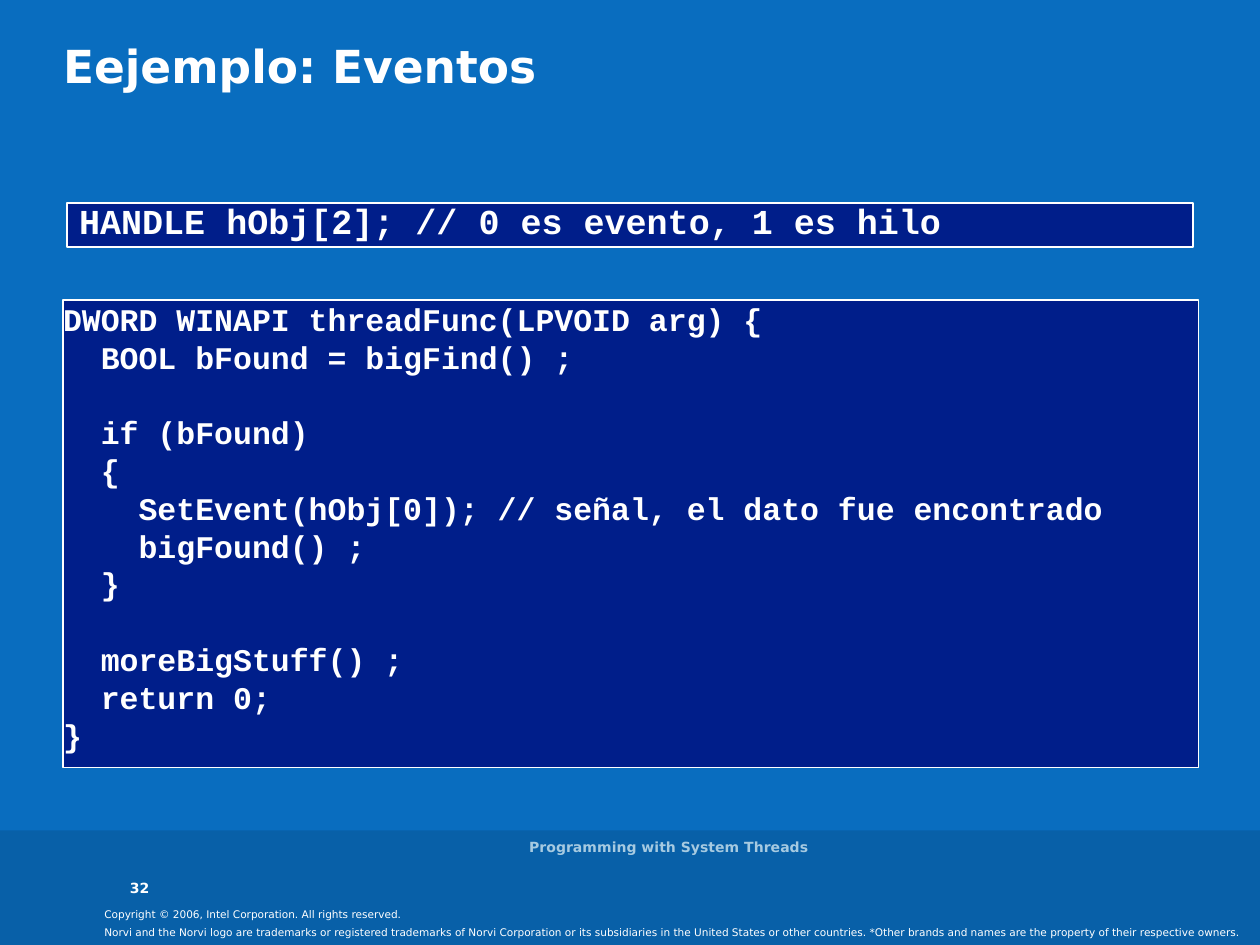
from dataclasses import dataclass
from typing import Optional, Union

from pptx import Presentation
from pptx.dml.color import RGBColor
from pptx.enum import shapes, text
from pptx.util import Inches, Length, Pt

BACKGROUND = RGBColor(0x09, 0x6D, 0xBF)
FOOTER_BAND = RGBColor(0x08, 0x60, 0xA8)
CODE_FILL = RGBColor(0x00, 0x1E, 0x8A)
WHITE = RGBColor(0xFF, 0xFF, 0xFF)
PALE_BLUE = RGBColor(0xA6, 0xCA, 0xE1)

SANS = "DejaVu Sans"
MONO = "Courier New"

THREAD_CODE = """DWORD WINAPI threadFunc(LPVOID arg) {
  BOOL bFound = bigFind() ;

  if (bFound)
  {
    SetEvent(hObj[0]); // señal, el dato fue encontrado
    bigFound() ;
  }

  moreBigStuff() ;
  return 0;
}"""
TRADEMARKS = (
    "Norvi and the Norvi logo are trademarks or registered trademarks of "
    "Norvi Corporation or its subsidiaries in the United States or other "
    "countries. *Other brands and names are the property of their respective owners."
)


@dataclass
class Block:
    """Text in a frame; lengths in inches, sizes and line widths in points."""
    wording: str
    left: float
    top: float
    width: float
    height: float
    size: float
    font: str = SANS
    color: RGBColor = WHITE
    bold: bool = True
    anchor: text.MSO_ANCHOR = text.MSO_ANCHOR.TOP
    align: text.PP_ALIGN = text.PP_ALIGN.LEFT
    inset_x: float = 0
    inset_top: float = 0
    line_spacing: Optional[Union[float, Length]] = None
    border: Optional[float] = None


BLOCKS = [
    Block("Copyright © 2006, Intel Corporation. All rights reserved.",
          0.73, 7.16, 7.21, 0.2, 6, bold=False, inset_x=0.1, inset_top=0.05),
    Block(TRADEMARKS, 0.73, 7.3, 9.27, 0.2, 6, bold=False,
          inset_x=0.1, inset_top=0.05),
    Block("32", 1.03, 6.78, 0.45, 0.33, 8, anchor=text.MSO_ANCHOR.BOTTOM),
    Block("Programming with System Threads", 3.31, 6.56, 4, 0.33, 8,
          color=PALE_BLUE, anchor=text.MSO_ANCHOR.MIDDLE,
          align=text.PP_ALIGN.CENTER),
    Block("Eejemplo: Eventos", 0.5, 0.3, 9.01, 0.97, 26),
    Block(THREAD_CODE, 0.5, 2.38, 9.01, 3.71, 18, MONO,
          line_spacing=Pt(21.6), border=0.75),
    Block("HANDLE hObj[2]; // 0 es evento, 1 es hilo",
          0.53, 1.61, 8.94, 0.35, 20, MONO, anchor=text.MSO_ANCHOR.MIDDLE,
          inset_x=0.1, line_spacing=0.8, border=1),
]


def add_rectangle(slide, left: float, top: float, width: float, height: float,
                  fill: RGBColor, border: Optional[float] = None):
    shape = slide.shapes.add_shape(
        shapes.MSO_SHAPE.RECTANGLE,
        Inches(left), Inches(top), Inches(width), Inches(height))
    shape.shadow.inherit = False
    shape.fill.solid()
    shape.fill.fore_color.rgb = fill
    if border is None:
        shape.line.fill.background()
    else:
        shape.line.color.rgb = WHITE
        shape.line.width = Pt(border)
    return shape


def add_block(slide, block: Block) -> None:
    """Draw a text box, or a filled rectangle when the block has a border."""
    place = (block.left, block.top, block.width, block.height)
    if block.border is None:
        shape = slide.shapes.add_textbox(*(Inches(length) for length in place))
    else:
        shape = add_rectangle(slide, *place, CODE_FILL, block.border)

    frame = shape.text_frame
    frame.word_wrap = True
    frame.vertical_anchor = block.anchor
    frame.margin_left = frame.margin_right = Inches(block.inset_x)
    frame.margin_top = Inches(block.inset_top)
    frame.margin_bottom = 0
    frame.text = block.wording
    for paragraph in frame.paragraphs:
        paragraph.alignment = block.align
        if block.line_spacing is not None:
            paragraph.line_spacing = block.line_spacing
        paragraph.font.size = Pt(block.size)
        for run in paragraph.runs:
            run.font.name = block.font
            run.font.size = Pt(block.size)
            run.font.bold = block.bold
            run.font.color.rgb = block.color


def main() -> None:
    presentation = Presentation()
    presentation.slide_width = Inches(10)
    presentation.slide_height = Inches(7.5)
    slide = presentation.slides.add_slide(presentation.slide_layouts[6])
    slide.background.fill.solid()
    slide.background.fill.fore_color.rgb = BACKGROUND

    add_rectangle(slide, 0, 6.59, 10, 0.91, FOOTER_BAND)
    for block in BLOCKS:
        add_block(slide, block)
    presentation.save("out.pptx")


if __name__ == "__main__":
    main()
